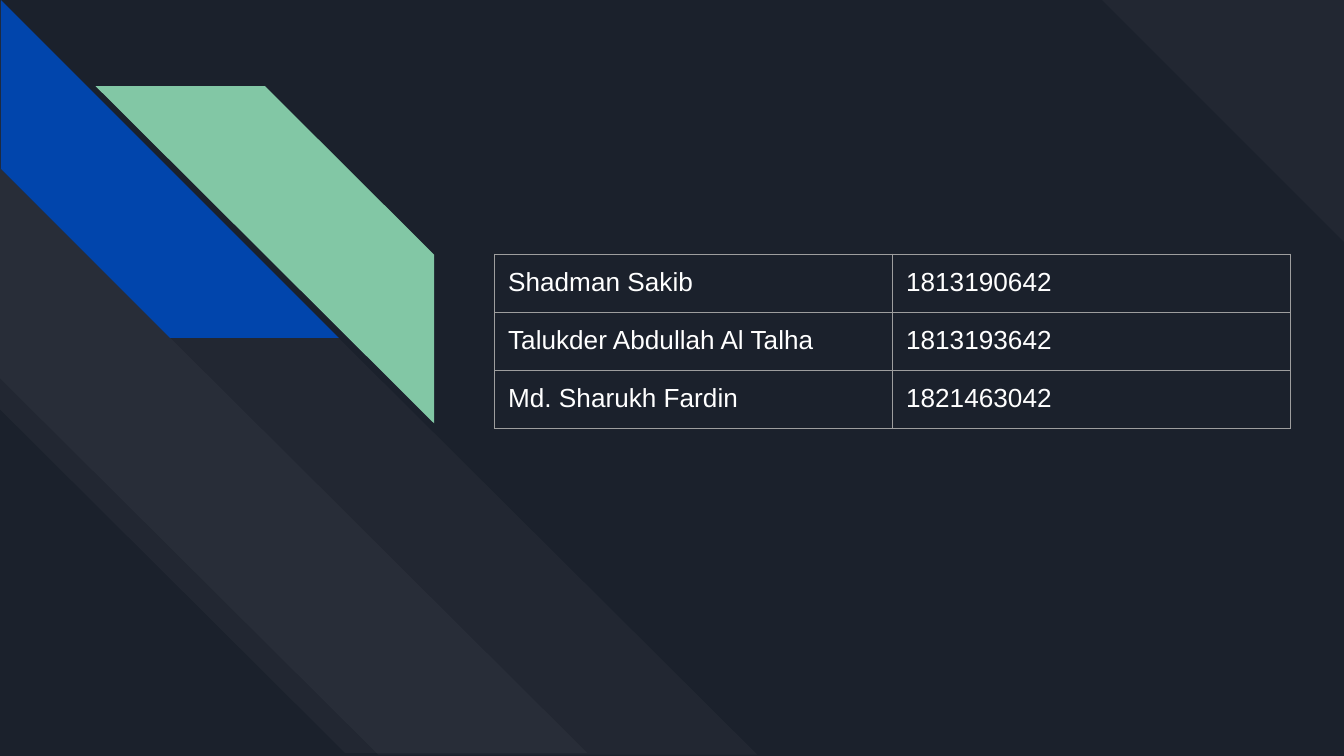
from lxml.etree import SubElement
from pptx import Presentation
from pptx.dml.color import RGBColor
from pptx.enum.shapes import MSO_SHAPE
from pptx.oxml.ns import qn
from pptx.util import Pt


def color(hex_code):
    return RGBColor.from_string(hex_code)


class Deck:
    font = "Arial"
    text_size = 14
    background = "1B212C"
    white = "FFFFFF"
    border = "9E9E9E"
    border_width = 0.75
    inset = 7.2

    def __init__(self, width, height):
        self.prs = Presentation()
        self.prs.slide_width, self.prs.slide_height = Pt(width), Pt(height)
        self.s = None

    def add_slide(self):
        self.s = self.prs.slides.add_slide(self.prs.slide_layouts[6])
        fill = self.s.background.fill
        fill.solid()
        fill.fore_color.rgb = color(self.background)

    def stripe(self, x, y, w, h, fill, adj, rotation=0, flip=False, alpha=None):
        sp = self.s.shapes.add_shape(MSO_SHAPE.DIAGONAL_STRIPE,
                                     Pt(x), Pt(y), Pt(w), Pt(h))
        sp.adjustments[0] = adj
        sp.rotation = rotation
        sp.shadow.inherit = False
        sp.line.fill.background()
        sp.fill.solid()
        sp.fill.fore_color.rgb = color(fill)
        if flip:
            sp._element.spPr.find(qn("a:xfrm")).set("flipH", "1")
        if alpha is not None:
            clr = sp._element.spPr.find(qn("a:solidFill"))[0]
            SubElement(clr, qn("a:alpha")).set("val", str(alpha * 1000))

    def cell(self, cell, text):
        cell.margin_left = cell.margin_right = Pt(self.inset)
        cell.margin_top = cell.margin_bottom = Pt(self.inset)
        r = cell.text_frame.paragraphs[0].add_run()
        r.text = text
        r.font.name = self.font
        r.font.size = Pt(self.text_size)
        r.font.color.rgb = color(self.white)
        # Borders come before the fill in the cell properties
        tc_pr = cell._tc.get_or_add_tcPr()
        for side in ("lnL", "lnR", "lnT", "lnB"):
            ln = SubElement(tc_pr, qn(f"a:{side}"), w=str(Pt(self.border_width)))
            fill = SubElement(ln, qn("a:solidFill"))
            SubElement(fill, qn("a:srgbClr"), val=self.border)
        cell.fill.background()

    def table(self, x, y, col_width, row_height, rows):
        cols = len(rows[0])
        table = self.s.shapes.add_table(
            len(rows), cols, Pt(x), Pt(y),
            Pt(col_width * cols), Pt(row_height * len(rows))).table
        table.first_row = table.horz_banding = False
        for column in table.columns:
            column.width = Pt(col_width)
        for i, row in enumerate(rows):
            table.rows[i].height = Pt(row_height)
            for j, text in enumerate(row):
                self.cell(table.cell(i, j), text)


def main():
    deck = Deck(720, 405)
    deck.add_slide()

    # Faint background bands
    deck.stripe(590.4, 0, 129.6, 129.6, deck.white, 0, rotation=90, alpha=3)
    deck.stripe(0.7, -0.7, 404, 406, deck.white, 0.5, rotation=270, alpha=3)
    deck.stripe(0.7, 89.5, 313.2, 314.6, deck.white, 0.588, rotation=270, alpha=3)

    # Accent stripes
    deck.stripe(0.5, 0, 181, 181, "0145AC", 0.5, rotation=270)
    deck.stripe(51.2, 46.1, 181.4, 180.7, "82C7A5", 0.5, flip=True)

    # Names and student numbers
    deck.table(265, 136.2, 213.2, 31.2, [
        ("Shadman Sakib", "1813190642"),
        ("Talukder Abdullah Al Talha", "1813193642"),
        ("Md. Sharukh Fardin", "1821463042"),
    ])

    deck.prs.save("out.pptx")


if __name__ == "__main__":
    main()
